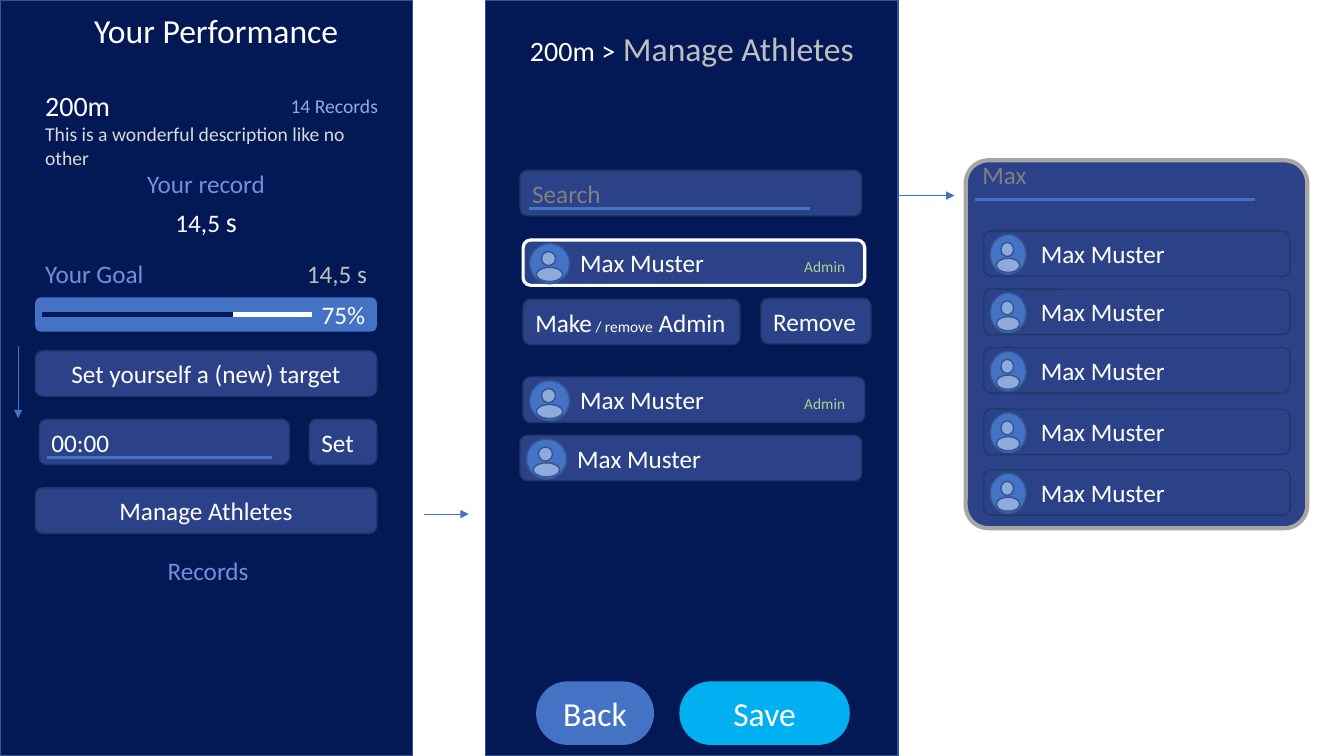
from lxml.etree import SubElement
from pptx import Presentation
from pptx.dml.color import RGBColor
from pptx.enum.shapes import MSO_CONNECTOR, MSO_SHAPE
from pptx.enum.text import MSO_ANCHOR, MSO_AUTO_SIZE, PP_ALIGN
from pptx.oxml.ns import qn
from pptx.util import Pt

COLORS = {
    "navy": "031956", "panel_edge": "325491", "button": "2C4288", "button_edge": "203864",
    "blue": "4472C4", "cyan": "00B0F0", "pale": "8FAADC", "label": "728EDC", "white": "FFFFFF",
    "light": "D9D9D9", "silver": "BFBFBF", "frame": "A6A6A6", "hint": "808080", "admin": "A9D18E",
}
LEFT, CENTER, RIGHT = PP_ALIGN.LEFT, PP_ALIGN.CENTER, PP_ALIGN.RIGHT
ROW_H = 32.4
COLUMN_W = 244
PHONE_W = 294.5
PHONES = [0, 347]

TITLE = ("Your Performance", (32.4, 3.6, COLUMN_W, 36))
TEXTS = [
    ([[("200m", 20, "white")],
      [("This is a wonderful description like no other", 14, "light")]],
     (25.2, 59.8, COLUMN_W, 65.5), LEFT),
    ([[("14 Records", 14, "pale")]], (166.3, 63.4, 110.9, 24.5), RIGHT),
    ([[("Your record", 18, "label")]], (0, 116.6, PHONE_W, 28.8), CENTER),
    ([[("14,5 ", 18, "white"), ("s", 20, "white")]], (0, 142.6, PHONE_W, 31.7), CENTER),
    ([[("Your Goal", 18, "label")]], (25.2, 180.7, 93.6, 28.8), LEFT),
    ([[("14,5 s", 18, "silver")]], (110.2, 180.7, 159.1, 28.8), RIGHT),
    ([[("Records", 18, "label")]], (1.4, 393.1, PHONE_W, 28.8), CENTER),
    ([[("200m >", 20, "white"), (" ", 24, "light"), ("Manage Athletes", 24, "silver")]],
     (347, 16.6, PHONE_W, 36), CENTER),
]
BUTTONS = [
    ([("Set yourself a (new) target", 18, "white")], (25.2, 250.6, COLUMN_W), CENTER),
    ([("Set", 18, "white")], (221, 299.5, 48.2), LEFT),
    ([("00:00", 18, "white")], (28.1, 299.5, 178.6), LEFT),
    ([("Manage Athletes", 18, "white")], (25.2, 348.5, COLUMN_W), CENTER),
    ([("Make", 18, "white"), (" / remove", 11, "white"), (" Admin", 18, "white")],
     (373.7, 213.8, 154.8), LEFT),
    ([("Remove", 18, "white")], (543.6, 213.1, 78.5), LEFT),
    ([("Search", 18, "hint")], (371.5, 121.7, COLUMN_W), LEFT),
]
PILLS = [("Back", (383, 486.7, 84.2, 45.4), "blue"), ("Save", (485.3, 486.7, 121.7, 45.4), "cyan")]
ATHLETES = [
    ("Max Muster", "Admin", (373.7, 171.4), True),
    ("Max Muster", "Admin", (373.7, 269.3), False),
    ("Max Muster", None, (371.5, 311), False),
]
PROGRESS = ("75%", (25.2, 212.4, COLUMN_W, 24.5))
MENU_FRAME = (689.8, 114.5, COLUMN_W, 262.8)
SEARCH_TERM = ("Max", (694.6, 110.4, 200, 28.8))
MENU_LEFT, MENU_W = 702.7, 218.9
MENU_TOPS = [164.9, 206.6, 248.4, 292.3, 335.5]
MENU_NAME = "Max Muster"
RULES = [
    ((30.2, 224.6, 166.3, 224.6), "navy", 3),
    ((166.3, 224.6, 223.2, 224.6), "white", 3),
    ((33.8, 326.9, 194.4, 326.9), "blue", 2.25),
    ((378, 149, 578.9, 149), "blue", 2.25),
    ((696.2, 142.6, 896.4, 142.6), "blue", 2.25),
]
ARROWS = [(13, 247, 13, 298.8), (641.5, 139.7, 681.8, 139.7), (303.1, 367.2, 334.8, 367.2)]
AVATAR = [
    (0, 0, 28.8, 28.8, "blue"),
    (8.6, 5.8, 10.1, 10.1, "pale"),
    (5, 17.1, 18.7, 10.1, "pale"),
]


def rgb(name):
    return RGBColor.from_string(COLORS[name])


def write(shape, paragraphs, *, align=LEFT, anchor=MSO_ANCHOR.MIDDLE, indent=7.2, tab=None):
    frame = shape.text_frame
    frame.word_wrap = True
    frame.auto_size = MSO_AUTO_SIZE.NONE
    frame.vertical_anchor = anchor
    frame.margin_left = Pt(indent)
    for index, runs in enumerate(paragraphs):
        paragraph = frame.add_paragraph() if index else frame.paragraphs[0]
        paragraph.alignment = align
        if tab:
            stops = SubElement(paragraph._p.get_or_add_pPr(), qn("a:tabLst"))
            SubElement(stops, qn("a:tab"), pos=str(Pt(tab)), algn="l")
        for text, size, color in runs:
            run = paragraph.add_run()
            run.text = text
            run.font.name = "Calibri"
            run.font.size = Pt(size)
            run.font.color.rgb = rgb(color)


def add_box(kind, at, fill, edge=None, weight=1, corner=None):
    box = slide.shapes.add_shape(kind, *map(Pt, at))
    box.shadow.inherit = False
    box.fill.solid()
    box.fill.fore_color.rgb = rgb(fill)
    if edge:
        box.line.color.rgb = rgb(edge)
        box.line.width = Pt(weight)
    else:
        box.line.fill.background()
    if corner is not None:
        box.adjustments[0] = corner
    return box


def add_text(paragraphs, at, align=LEFT):
    write(slide.shapes.add_textbox(*map(Pt, at)), paragraphs, align=align, anchor=MSO_ANCHOR.TOP)


def add_rule(ends, color, weight, arrow=False):
    rule = slide.shapes.add_connector(MSO_CONNECTOR.STRAIGHT, *map(Pt, ends))
    rule.line.color.rgb = rgb(color)
    rule.line.width = Pt(weight)
    if arrow:
        SubElement(rule.line._get_or_add_ln(), qn("a:tailEnd"), type="triangle")
    SubElement(rule._element.spPr, qn("a:effectLst"))


def add_athlete(name, role, left, top, width=COLUMN_W, selected=False, squeeze=1):
    edge, weight = ("white", 2.25) if selected else ("button_edge", 1)
    row = add_box(MSO_SHAPE.ROUNDED_RECTANGLE, (left, top, width, ROW_H), "button", edge, weight)
    runs = [(name, 18, "white")]
    if role:
        runs += [("\t", 18, "white"), (role, 11, "admin")]
    write(row, [runs], indent=39.2, tab=160 if role else None)
    for dx, dy, w, h, fill in AVATAR:
        at = (left + 4.5 + dx * squeeze, top + 2.5 + dy, w * squeeze, h)
        add_box(MSO_SHAPE.OVAL, at, fill, "panel_edge")


deck = Presentation()
deck.slide_width, deck.slide_height = Pt(960), Pt(540)
slide = deck.slides.add_slide(deck.slide_layouts[5])

for phone_left in PHONES:
    add_box(MSO_SHAPE.RECTANGLE, (phone_left, 0, PHONE_W, 540), "navy", "panel_edge")

heading, heading_at = TITLE
title = slide.shapes.title
title.left, title.top, title.width, title.height = map(Pt, heading_at)
write(title, [[(heading, 24, "white")]], align=CENTER, anchor=MSO_ANCHOR.TOP)
title.element.getparent().append(title.element)

for paragraphs, at, align in TEXTS:
    add_text(paragraphs, at, align)

percent, progress_at = PROGRESS
progress = add_box(MSO_SHAPE.ROUNDED_RECTANGLE, progress_at, "blue")
write(progress, [[(percent, 18, "white")]], align=RIGHT)

for runs, at, align in BUTTONS:
    button = add_box(MSO_SHAPE.ROUNDED_RECTANGLE, (*at, ROW_H), "button", "button_edge")
    write(button, [runs], align=align)

for caption, at, fill in PILLS:
    pill = add_box(MSO_SHAPE.ROUNDED_RECTANGLE, at, fill, corner=0.495)
    write(pill, [[(caption, 24, "white")]], align=CENTER)

for name, role, (left, top), selected in ATHLETES:
    add_athlete(name, role, left, top, selected=selected)

add_box(MSO_SHAPE.ROUNDED_RECTANGLE, MENU_FRAME, "button", "frame", 3, corner=0.067)
term, term_at = SEARCH_TERM
add_text([[(term, 18, "hint")]], term_at)
for top in MENU_TOPS:
    add_athlete(MENU_NAME, None, MENU_LEFT, top, width=MENU_W, squeeze=0.9)

for ends, color, weight in RULES:
    add_rule(ends, color, weight)
for ends in ARROWS:
    add_rule(ends, "blue", 0.5, arrow=True)

deck.save("out.pptx")
